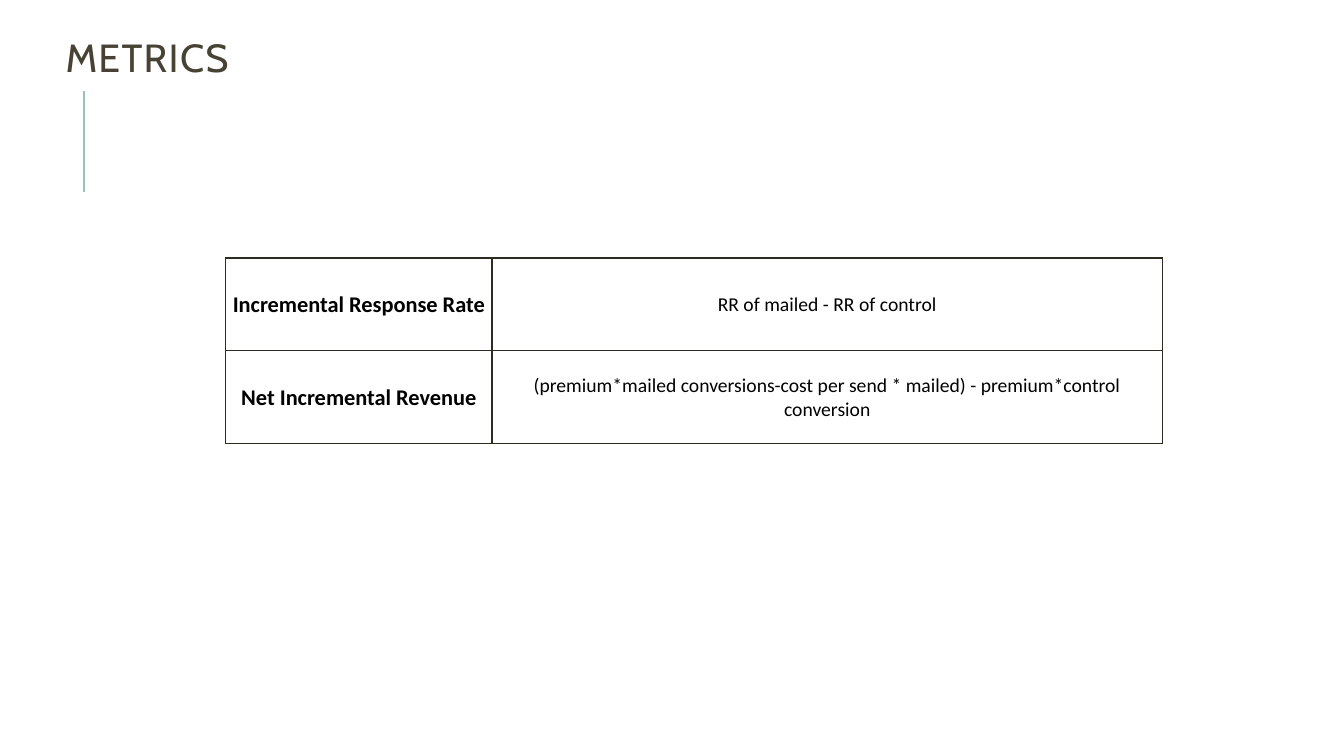
import pptx
import pptx.util
import pptx.dml.color
import pptx.enum.shapes
import pptx.enum.text
import pptx.oxml.ns
import lxml.etree

Inches, Pt = pptx.util.Inches, pptx.util.Pt
RGB = pptx.dml.color.RGBColor.from_string
MIDDLE = pptx.enum.text.MSO_ANCHOR.MIDDLE
ALIGN = pptx.enum.text.PP_ALIGN

# Content
HEADING = "METRICS"
METRICS = [
    ("Incremental Response Rate", "RR of mailed - RR of control"),
    ("Net Incremental Revenue",
     "(premium*mailed conversions-cost per send * mailed) - premium*control conversion"),
]
COLORS = {"heading": "474233", "accent": "9CBEBD", "border": "2E2B21", "text": "000000"}
COLUMNS = [(2.64, 16, True), (6.65, 14, False)]  # width, text size, bold
ROW_HEIGHT = 0.92
TABLE_LEFT, TABLE_TOP = 2.24, 2.56


def add_xml(parent, tag, **attributes):
    return lxml.etree.SubElement(parent, pptx.oxml.ns.qn(tag), **attributes)


def style_text(paragraph, font_name, size, color, bold, align):
    paragraph.alignment = align
    font = paragraph.font
    font.name, font.size, font.bold = font_name, Pt(size), bold
    font.color.rgb = RGB(COLORS[color])


def border_cell(cell):
    properties = cell._tc.get_or_add_tcPr()
    for position, side in enumerate(("a:lnL", "a:lnR", "a:lnT", "a:lnB")):
        edge = add_xml(properties, side, w=str(Pt(1)))
        add_xml(add_xml(edge, "a:solidFill"), "a:srgbClr", val=COLORS["border"])
        properties.insert(position, edge)  # borders come before the fill


presentation = pptx.Presentation()
presentation.slide_width, presentation.slide_height = Inches(13.33), Inches(7.5)
slide = presentation.slides.add_slide(presentation.slide_layouts[5])

# Accent line
accent = slide.shapes.add_connector(
    pptx.enum.shapes.MSO_CONNECTOR.STRAIGHT,
    Inches(0.83), Inches(1.9), Inches(0.83), Inches(0.9))
accent.line.color.rgb = RGB(COLORS["accent"])
accent.line.width = Pt(1.5)
add_xml(accent._element.spPr, "a:effectLst")

# Heading
heading = slide.shapes.title
heading.left, heading.top = Inches(0.55), Inches(0.25)
heading.width, heading.height = Inches(11.5), Inches(0.71)
heading.text_frame.text = HEADING
heading.text_frame.vertical_anchor = MIDDLE
heading_line = heading.text_frame.paragraphs[0]
heading_line.line_spacing = 0.8
style_text(heading_line, "Cabin", 28, "heading", False, ALIGN.LEFT)
heading_line.runs[0].font._element.set("spc", "100")

# Metrics table
table = slide.shapes.add_table(
    len(METRICS), len(COLUMNS), Inches(TABLE_LEFT), Inches(TABLE_TOP),
    Inches(sum(width for width, _, _ in COLUMNS)),
    Inches(ROW_HEIGHT * len(METRICS))).table
table.first_row = table.horz_banding = False
for column, (width, _, _) in zip(table.columns, COLUMNS):
    column.width = Inches(width)
for row, metric in zip(table.rows, METRICS):
    row.height = Inches(ROW_HEIGHT)
    for cell, wording, (_, size, bold) in zip(row.cells, metric, COLUMNS):
        cell.text = wording
        cell.vertical_anchor = MIDDLE
        cell.margin_left = cell.margin_right = cell.margin_top = Inches(0.01)
        cell.margin_bottom = 0
        cell.fill.background()
        border_cell(cell)
        style_text(cell.text_frame.paragraphs[0], "Calibri", size, "text", bold, ALIGN.CENTER)

presentation.save("out.pptx")
